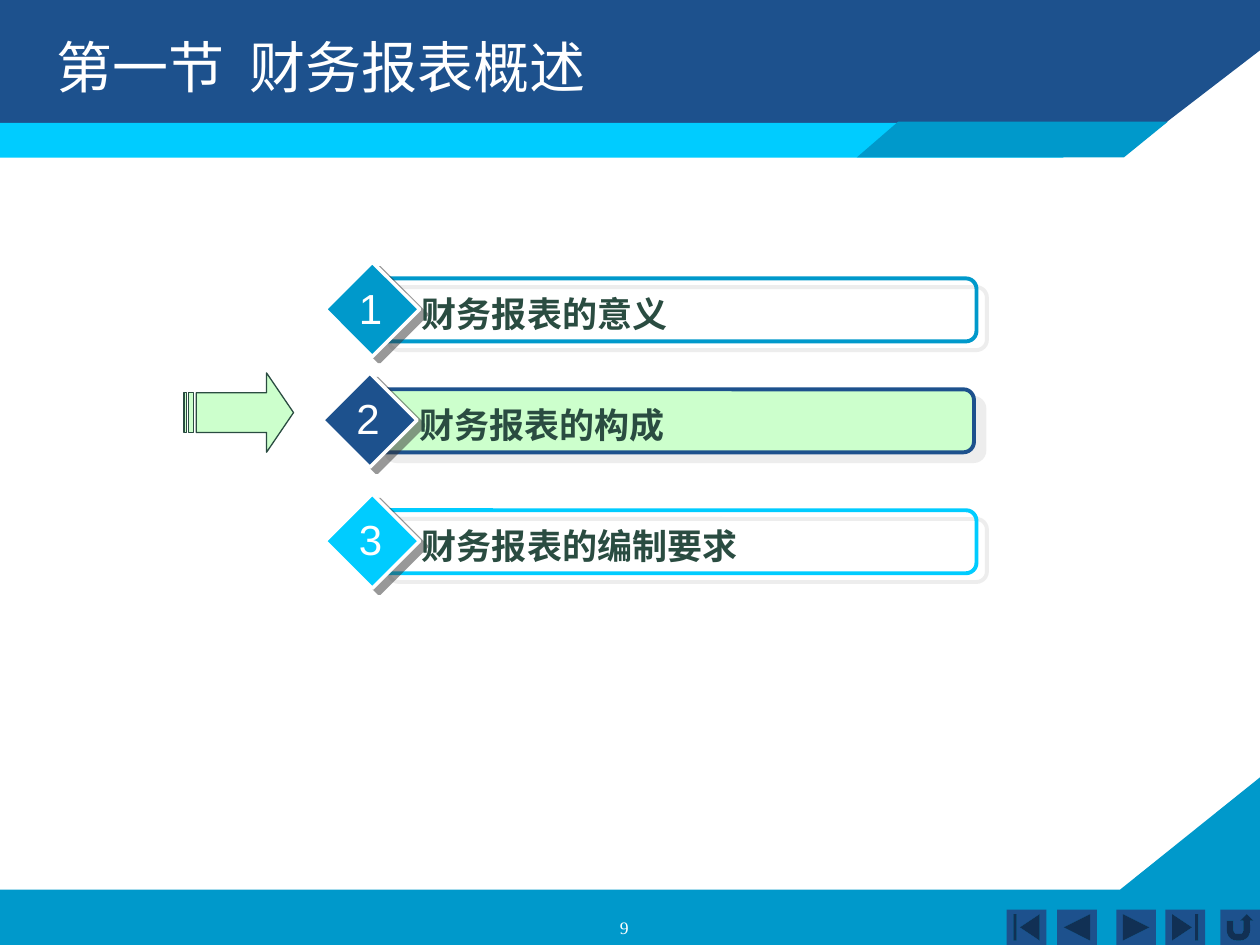
from dataclasses import dataclass

from lxml import etree
from pptx import Presentation, util as u
from pptx.dml.color import RGBColor
from pptx.enum import shapes, text
from pptx.oxml.ns import qn

COLS, ROWS = 80, 60  # slide grid
UNIT = u.Inches(10) / COLS  # the grid cells are square
KIND = shapes.MSO_SHAPE


@dataclass(frozen=True)
class Theme:
    navy: str = "1D518D"
    blue: str = "0099CB"
    cyan: str = "00CCFF"
    green: str = "CCFFCC"
    ink: str = "2A4C41"
    white: str = "FFFFFF"
    soft_shadow: str = "DDDDDD"
    dark_shadow: str = "333333"
    latin: str = "Arial"
    cjk: str = "Noto Sans CJK SC"
    serif: str = "Times New Roman"
    title: int = 32
    number: int = 24
    label: int = 20
    page: int = 10


T = Theme()


def emu(*cells):
    return [u.Emu(round(c * UNIT)) for c in cells]


def paint(sp, fill=None, line=None, width=1):
    sp.shadow.inherit = False
    if fill:
        sp.fill.solid()
        sp.fill.fore_color.rgb = RGBColor.from_string(fill)
    else:
        sp.fill.background()
    if line:
        sp.line.color.rgb = RGBColor.from_string(line)
        sp.line.width = u.Pt(width)
    else:
        sp.line.fill.background()
    return sp


def add_shape(s, kind, box, **style):
    return paint(s.shapes.add_shape(kind, *emu(*box)), **style)


def add_polygon(s, points, fill):
    start, *rest = [emu(*pt) for pt in points]
    fb = s.shapes.build_freeform(*start)
    fb.add_line_segments(rest, close=True)
    return paint(fb.convert_to_shape(), fill)


def add_shadow(sp, color, dist, angle):
    effects = sp._element.spPr.find(qn("a:effectLst"))
    shadow = etree.SubElement(effects, qn("a:outerShdw"), dist=str(u.Pt(dist)),
                              dir=str(angle * 60000), algn="ctr", rotWithShape="0")
    clr = etree.SubElement(shadow, qn("a:srgbClr"), val=color)
    etree.SubElement(clr, qn("a:alpha"), val="50000")


def add_text(s, box, words, size, color, font, bold=False, center=False, wrap=True):
    tf = s.shapes.add_textbox(*emu(*box)).text_frame
    tf.word_wrap = wrap
    p = tf.paragraphs[0]
    p.alignment = text.PP_ALIGN.CENTER if center else text.PP_ALIGN.LEFT
    r = p.add_run()
    r.text = words
    r.font.size, r.font.bold, r.font.name = u.Pt(size), bold, font
    r.font.color.rgb = RGBColor.from_string(color)
    etree.SubElement(r._r.get_or_add_rPr(), qn("a:ea"), typeface=T.cjk)


def header(s, box, title):
    x, y, w, h = box
    band = y + 0.78 * h  # the stripe starts here
    add_polygon(s, [(x, y), (x + w, y), (x + w, y + 3.2),
                    (x + 71.36, y + 9.84), (x, y + 9.92)], T.navy)
    add_shape(s, KIND.RECTANGLE, (x, band, 67.52, y + h - band), fill=T.cyan)
    add_polygon(s, [(x + 54.4, y + h), (x + 71.36, y + h),
                    (x + 74.16, band - 0.08), (x + 57.04, band - 0.08)], T.blue)
    add_text(s, (x + 2.8, y + 1.68, 72, 10), title, T.title, T.white, T.cjk)


def footer(s, box, page):
    x, y, w, h = box
    shoulder = y + 0.67 * h
    add_polygon(s, [(x, shoulder), (x + 71.12, shoulder), (x + w, y),
                    (x + w, y + h), (x, y + h)], T.blue)
    # Navigation buttons
    buttons = [(KIND.ACTION_BUTTON_BEGINNING, 63.92),
               (KIND.ACTION_BUTTON_BACK_OR_PREVIOUS, 67.12),
               (KIND.ACTION_BUTTON_FORWARD_OR_NEXT, 70.88),
               (KIND.ACTION_BUTTON_END, 74),
               (KIND.ACTION_BUTTON_RETURN, 77.48)]
    for kind, left in buttons:
        add_shape(s, kind, (x + left, y + h - 2.24, 2.52, 2.24), fill=T.navy)
    # Page number
    add_text(s, (x + 30.32, y + h - 2.16, 18.64, 1.44), page, T.page,
             T.white, T.serif, center=True)


def agenda_item(s, box, number, label, color, fill=None):
    x, y, w, h = box
    bar = add_shape(s, KIND.ROUNDED_RECTANGLE, (x + 3.36, y + 1.04, w - 3.36, 4),
                    fill=fill, line=color, width=2.25)
    add_shadow(bar, T.soft_shadow, 7.8, 40)
    diamond = add_shape(s, KIND.DIAMOND, (x, y, h, h), fill=color,
                        line=T.white, width=2)
    add_shadow(diamond, T.dark_shadow, 5, 37)
    add_text(s, (x + 5.36, y + 1.52, 30, 3.5), label, T.label, T.ink, T.latin, bold=True)
    add_text(s, (x + 1.36, y + 0.88, 3, 4), number, T.number, T.white,
             T.latin, center=True, wrap=False)


def pointer(s, box):
    sp = add_shape(s, KIND.STRIPED_RIGHT_ARROW, box, fill=T.green,
                   line=T.ink, width=0.75)
    sp.adjustments[0], sp.adjustments[1] = 0.5, 0.34


def main():
    prs = Presentation()
    prs.slide_width, prs.slide_height = emu(COLS, ROWS)
    s = prs.slides.add_slide(prs.slide_layouts[6])
    footer(s, (0, 49.36, COLS, ROWS - 49.36), "9")
    header(s, (0, 0, COLS, 10), "第一节  财务报表概述")
    # Agenda, with the second topic highlighted
    items = [(20.64, 16.64, "财务报表的意义", T.blue, None),
             (20.48, 23.68, "财务报表的构成", T.navy, T.green),
             (20.64, 31.36, "财务报表的编制要求", T.cyan, None)]
    for i, (x, y, label, color, fill) in enumerate(items, 1):
        agenda_item(s, (x, y, 41.36, 6), str(i), label, color, fill)
    pointer(s, (11.68, 23.68, 6.96, 5.04))
    prs.save("out.pptx")


if __name__ == "__main__":
    main()
